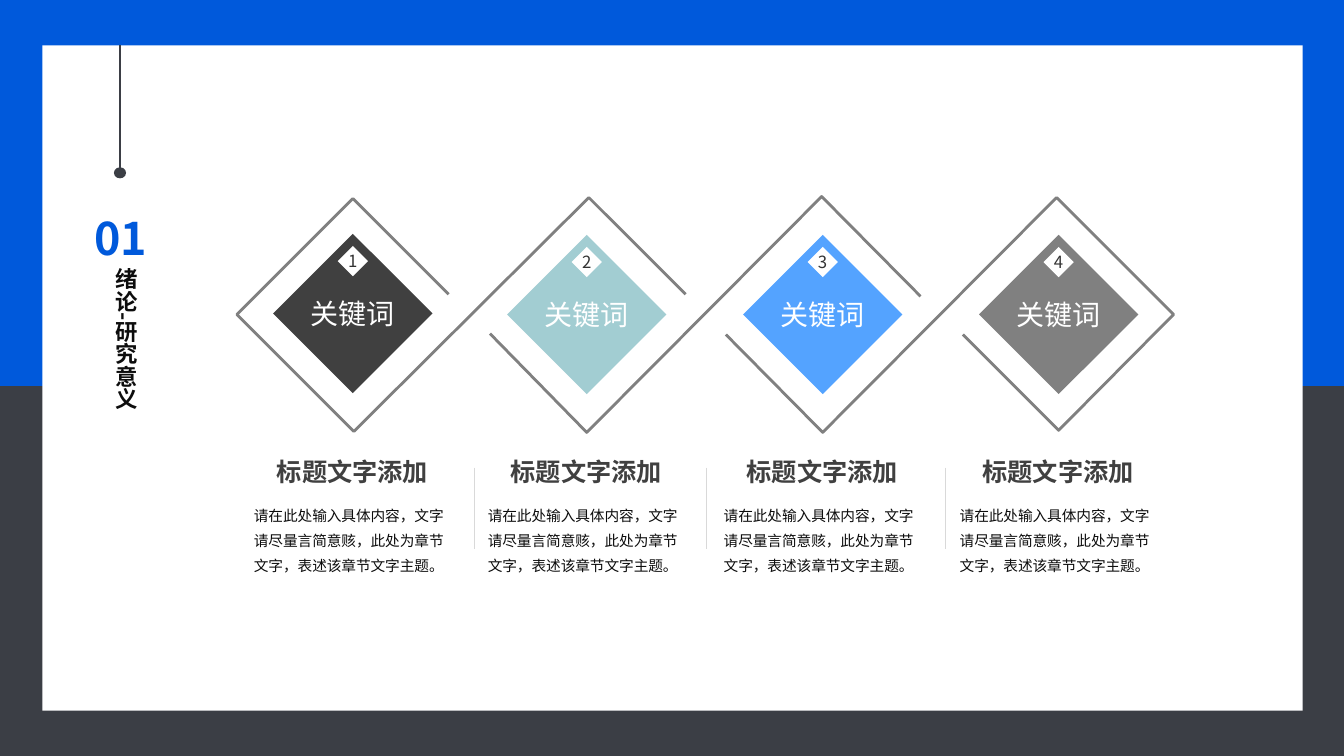
"""Build the research significance slide with four linked keyword diamonds."""
from dataclasses import dataclass

from lxml.etree import SubElement
from pptx import Presentation
from pptx.dml.color import RGBColor
from pptx.enum.shapes import MSO_CONNECTOR, MSO_SHAPE
from pptx.enum.text import MSO_ANCHOR, MSO_AUTO_SIZE, PP_ALIGN
from pptx.oxml.ns import qn
from pptx.util import Inches, Pt


@dataclass(frozen=True)
class Theme:
    """Colours, font and type sizes of the slide."""
    font: str = "Noto Sans CJK SC"
    blue: str = "0059DB"
    slate: str = "3B3E45"
    white: str = "FFFFFF"
    charcoal: str = "404040"
    teal: str = "A2CDD2"
    sky: str = "54A3FF"
    grey: str = "808080"
    divider: str = "D9D9D9"
    ink: str = "0D0D0D"
    digit: str = "333333"
    number_size: float = 32
    keyword_size: float = 20
    heading_size: float = 18
    topic_size: float = 16
    digit_size: float = 12
    body_size: float = 10.5


theme = Theme()


def write(shape, text, size, color, align, bold=False, leading=None, **frame_format):
    """Fill a shape's text frame with one formatted paragraph."""
    frame = shape.text_frame
    frame_values = {"word_wrap": True, "auto_size": MSO_AUTO_SIZE.NONE,
                    "vertical_anchor": MSO_ANCHOR.TOP} | frame_format
    for key, value in frame_values.items():
        setattr(frame, key, value)
    paragraph = frame.paragraphs[0]
    paragraph.alignment = align
    if leading:
        paragraph.line_spacing = Pt(leading)
    run = paragraph.add_run()
    run.text = text
    for key, value in {"name": theme.font, "size": Pt(size), "bold": bold}.items():
        setattr(run.font, key, value)
    run.font.color.rgb = RGBColor.from_string(color)
    SubElement(run.font._element, qn("a:ea"), typeface=theme.font)


def add_solid(kind, left, top, width, height, color):
    """Add a flat preset shape without outline or shadow."""
    shape = slide.shapes.add_shape(
        kind, Inches(left), Inches(top), Inches(width), Inches(height))
    shape.shadow.inherit = False
    shape.fill.solid()
    shape.fill.fore_color.rgb = RGBColor.from_string(color)
    shape.line.fill.background()
    return shape


presentation = Presentation()
presentation.slide_width = Inches(13.33)
presentation.slide_height = Inches(7.5)
slide = presentation.slides.add_slide(presentation.slide_layouts[5])

for left, top, width, height, color in (
    (0, 3.78, 13.33, 3.72, theme.slate),
    (0, 0, 13.33, 3.83, theme.blue),
    (0.42, 0.45, 12.5, 6.6, theme.white),
):
    add_solid(MSO_SHAPE.RECTANGLE, left, top, width, height, color)

ribbons = (
    ((6.8, 2.92), (5.84, 1.96), (3.51, 4.28), (2.35, 3.12), (3.5, 1.97), (4.45, 2.92)),
    ((4.86, 3.31), (5.82, 4.29), (8.15, 1.95), (9.13, 2.94)),
    ((7.2, 3.32), (8.16, 4.29), (10.48, 1.96), (11.64, 3.12), (10.5, 4.27), (9.55, 3.32)),
)
for ribbon in ribbons:
    start, *corners = [(Inches(x), Inches(y)) for x, y in ribbon]
    builder = slide.shapes.build_freeform(*start)
    builder.add_line_segments(corners, close=False)
    outline = builder.convert_to_shape()
    outline.shadow.inherit = False
    outline.fill.background()
    outline.line.color.rgb = RGBColor.from_string(theme.grey)
    outline.line.width = Pt(2)
    SubElement(outline.line._ln, qn("a:round"))

centred = {"word_wrap": False, "vertical_anchor": MSO_ANCHOR.MIDDLE}
tight = {f"margin_{side}": 0 for side in ("left", "top", "right", "bottom")}
body = "请在此处输入具体内容，文字请尽量言简意赅，此处为章节文字，表述该章节文字主题。"
columns = (
    (3.5, 2.32, theme.charcoal),
    (5.82, 2.33, theme.teal),
    (8.16, 2.33, theme.sky),
    (10.5, 2.33, theme.grey),
)
for number, (center, top, color) in enumerate(columns, start=1):
    keyword = add_solid(MSO_SHAPE.DIAMOND, center - 0.79, top, 1.58, 1.58, color)
    write(keyword, "关键词", theme.keyword_size, theme.white, PP_ALIGN.CENTER, **centred)

    badge = add_solid(MSO_SHAPE.DIAMOND, center - 0.15, top + 0.12, 0.3, 0.3, theme.white)
    write(badge, str(number), theme.digit_size, theme.digit, PP_ALIGN.CENTER,
          **centred, **tight)

    heading = slide.shapes.add_textbox(
        Inches(center - 1), Inches(4.48), Inches(1.99), Inches(0.4))
    write(heading, "标题文字添加", theme.heading_size, theme.charcoal,
          PP_ALIGN.CENTER, bold=True)

    description = slide.shapes.add_textbox(
        Inches(center - 1.08), Inches(4.9), Inches(2.16), Inches(0.86))
    write(description, body, theme.body_size, theme.ink, PP_ALIGN.LEFT, leading=18)

dividers = [(x, 4.64, 5.45, theme.divider, 0.25) for x in (4.7, 7, 9.37)]
pin_stem = (1.19, 0.45, 1.69, theme.slate, 2)
for x, top, bottom, color, weight in (*dividers, pin_stem):
    rule = slide.shapes.add_connector(
        MSO_CONNECTOR.STRAIGHT, Inches(x), Inches(top), Inches(x), Inches(bottom))
    rule.line.color.rgb = RGBColor.from_string(color)
    rule.line.width = Pt(weight)
    SubElement(rule._element.spPr, qn("a:effectLst"))
add_solid(MSO_SHAPE.OVAL, 1.13, 1.66, 0.12, 0.11, theme.slate)

topic = slide.shapes.add_textbox(Inches(0.96), Inches(2.56), Inches(0.47), Inches(2.99))
write(topic, "绪论-研究意义", theme.topic_size, theme.ink, PP_ALIGN.JUSTIFY, bold=True,
      auto_size=MSO_AUTO_SIZE.SHAPE_TO_FIT_TEXT)
topic.text_frame._bodyPr.set("vert", "eaVert")

section = slide.shapes.title
section_place = {"left": 0.75, "top": 1.74, "width": 0.9, "height": 0.94}
for key, value in section_place.items():
    setattr(section, key, Inches(value))
write(section, "01", theme.number_size, theme.blue, PP_ALIGN.CENTER, bold=True, leading=60)
section.element.getparent().append(section.element)

presentation.save("out.pptx")
